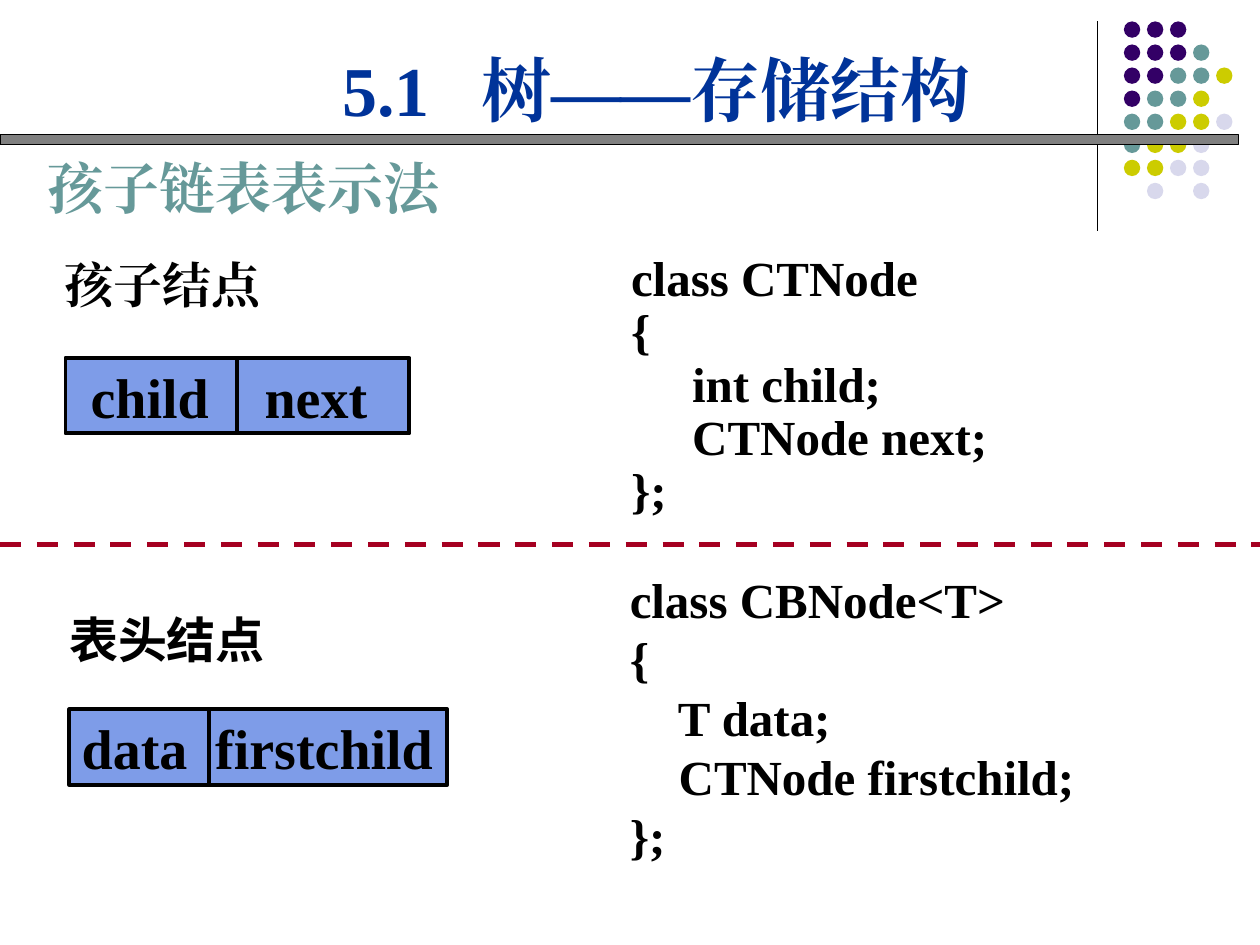
import pptx
import pptx.dml.color
import pptx.enum.dml
import pptx.enum.shapes
import pptx.enum.text
import pptx.oxml.ns
import pptx.util
from lxml import etree

Inches, Pt = pptx.util.Inches, pptx.util.Pt
RGBColor = pptx.dml.color.RGBColor
SHAPE = pptx.enum.shapes.MSO_SHAPE
ANCHOR = pptx.enum.text.MSO_ANCHOR
ALIGN = pptx.enum.text.PP_ALIGN

BLACK = RGBColor(0x00, 0x00, 0x00)
GRAY = RGBColor(0x80, 0x80, 0x80)
NAVY = RGBColor(0x00, 0x33, 0x99)
PURPLE = RGBColor(0x33, 0x00, 0x66)
TEAL = RGBColor(0x66, 0x99, 0x99)
LIME = RGBColor(0xCC, 0xCC, 0x00)
LILAC = RGBColor(0xD8, 0xD8, 0xEC)
NODE_BLUE = RGBColor(0x7E, 0x9C, 0xE8)
CRIMSON = RGBColor(0xA5, 0x00, 0x21)
SERIF, SANS = "Times New Roman", "Arial"

WIDTH, HEIGHT = 10, 7.5
MARGINS = (0.1, 0.05, 0.1, 0.05)
NO_MARGINS = (0, 0, 0, 0)

# One letter per dot, one string per row
DOT_ROWS = ["PPP", "PPPT", "PPTTL", "PTTL", "TTLLV", "TLLV", "LLVV", " V V"]
DOT_COLORS = {"P": PURPLE, "T": TEAL, "L": LIME, "V": LILAC}
DOT_LEFT, DOT_TOP, DOT_PITCH, DOT_SIZE = 8.92, 0.17, 0.183, 0.13

# text, place, size, colour, font, margins, tab stop
HEADINGS = [
    ("5.1\t树——存储结构", (2.62, 0.32, 5.28, 0.77), 40, NAVY, SERIF, MARGINS, 1.1),
    ("孩子链表表示法", (0.28, 1.17, 5.08, 0.64), 32, TEAL, SERIF, MARGINS, None),
    ("孩子结点", (0.51, 2.02, 3.12, 0.45), 28, BLACK, SERIF, NO_MARGINS, None),
    ("表头结点", (0.45, 4.79, 1.75, 0.57), 28, BLACK, SANS, MARGINS, None),
]

# fields, place, left margin, divider x, tab stop
NODES = [
    ("child\tnext", (0.52, 2.84, 2.73, 0.6), 0.2, 1.88, 1.38),
    ("data\tfirstchild", (0.55, 5.63, 3, 0.6), 0.1, 1.66, 1.06),
]

# lines, place, line height in points
CODE = [
    (["class CTNode", "{", "     int child;", "     CTNode next;", "};"],
     (4.91, 1.96, 3.89, 2.2), 30.3),
    (["class CBNode<T>", "{", "    T data;", "    CTNode firstchild;", "};"],
     (4.9, 4.47, 4.4, 2.44), 33.7),
]


def add_line(page, start, end, color, weight):
    line = page.shapes.add_connector(
        pptx.enum.shapes.MSO_CONNECTOR.STRAIGHT, *map(Inches, start + end))
    line.line.color.rgb = color
    line.line.width = Pt(weight)
    etree.SubElement(line._element.spPr, pptx.oxml.ns.qn("a:effectLst"))
    return line


def add_filled(page, kind, place, fill, weight=None):
    """Add a shape, outlined in black when a weight is given."""
    shape = page.shapes.add_shape(kind, *map(Inches, place))
    shape.shadow.inherit = False
    shape.fill.solid()
    shape.fill.fore_color.rgb = fill
    if weight:
        shape.line.color.rgb = BLACK
        shape.line.width = Pt(weight)
    else:
        shape.line.fill.background()
    return shape


def add_tab_stop(para, position):
    qn = pptx.oxml.ns.qn
    stops = etree.SubElement(para._p.get_or_add_pPr(), qn("a:tabLst"))
    etree.SubElement(stops, qn("a:tab"), pos=str(Inches(position)), algn="l")


def write(shape, lines, size, color=BLACK, font=SERIF, margins=MARGINS,
          tab_stop=None, line_height=None, anchor=ANCHOR.TOP, wrap=True):
    frame = shape.text_frame
    frame.word_wrap = wrap
    frame.vertical_anchor = anchor
    (frame.margin_left, frame.margin_top,
     frame.margin_right, frame.margin_bottom) = map(Inches, margins)
    for index, text in enumerate(lines):
        para = frame.add_paragraph() if index else frame.paragraphs[0]
        para.alignment = ALIGN.LEFT
        if line_height:
            para.line_spacing = Pt(line_height)
        if tab_stop:
            add_tab_stop(para, tab_stop)
        span = para.add_run()
        span.text = text
        span.font.size = Pt(size)
        span.font.bold = True
        span.font.color.rgb = color
        span.font.name = font
        etree.SubElement(span.font._element, pptx.oxml.ns.qn("a:ea"), typeface=font)


def add_decoration(page):
    add_line(page, (8.71, 0.17), (8.71, 1.83), BLACK, 0.75)
    for row, letters in enumerate(DOT_ROWS):
        for column, letter in enumerate(letters):
            if letter in DOT_COLORS:
                place = (DOT_LEFT + column * DOT_PITCH, DOT_TOP + row * DOT_PITCH,
                         DOT_SIZE, DOT_SIZE)
                add_filled(page, SHAPE.OVAL, place, DOT_COLORS[letter])
    add_filled(page, SHAPE.RECTANGLE, (0, 1.07, 9.83, 0.08), GRAY, 0.75)


def main():
    deck = pptx.Presentation()
    deck.slide_width, deck.slide_height = Inches(WIDTH), Inches(HEIGHT)
    page = deck.slides.add_slide(deck.slide_layouts[6])

    add_decoration(page)
    for text, place, size, color, font, margins, tab_stop in HEADINGS:
        box = page.shapes.add_textbox(*map(Inches, place))
        write(box, [text], size, color, font, margins, tab_stop)

    for fields, place, margin, divider, tab_stop in NODES:
        node = add_filled(page, SHAPE.RECTANGLE, place, NODE_BLUE, 2.25)
        write(node, [fields], 32, margins=(margin, 0, 0, 0), tab_stop=tab_stop,
              anchor=ANCHOR.MIDDLE, wrap=False)
        top, height = place[1], place[3]
        add_line(page, (divider, top), (divider, top + height), BLACK, 2.25)

    for lines, place, line_height in CODE:
        box = page.shapes.add_textbox(*map(Inches, place))
        write(box, lines, 28, line_height=line_height)

    separator = add_line(page, (0, 4.32), (WIDTH, 4.32), CRIMSON, 3)
    separator.line.dash_style = pptx.enum.dml.MSO_LINE.DASH

    deck.save("out.pptx")


if __name__ == "__main__":
    main()
